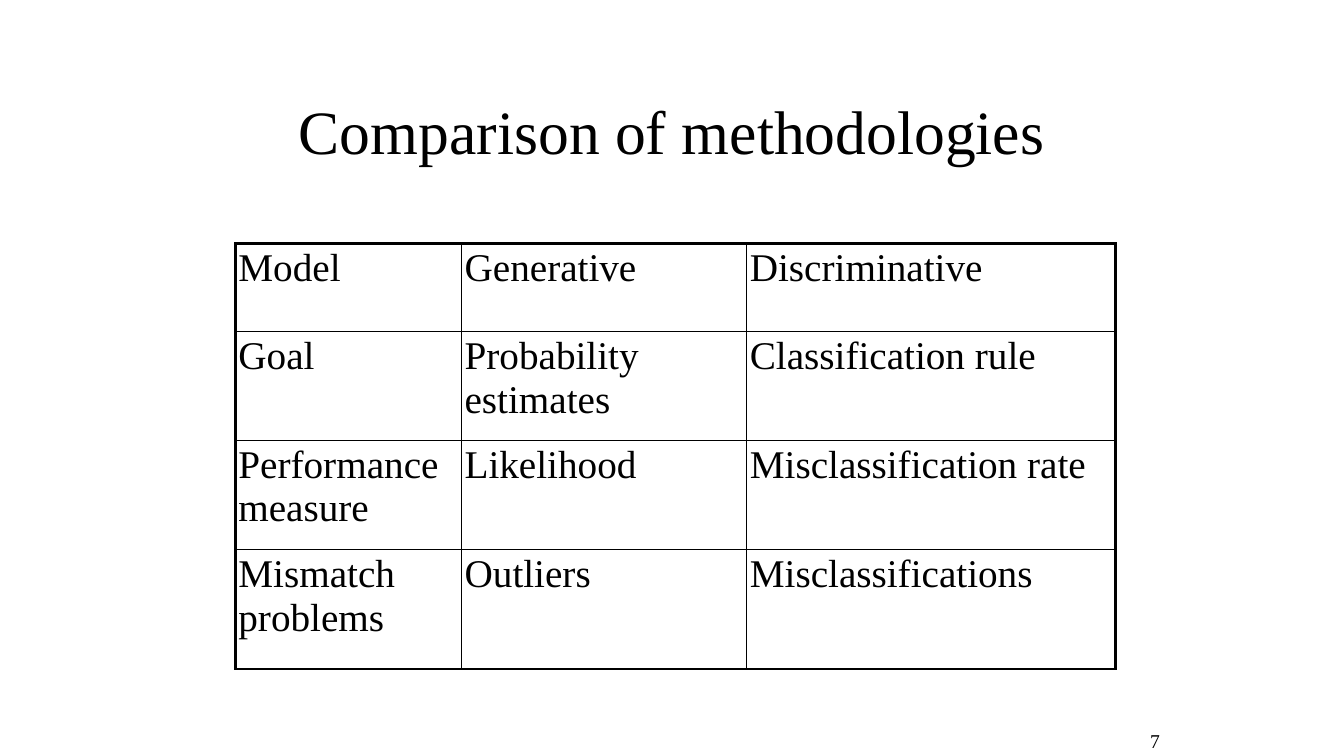
from lxml import etree
from pptx import Presentation, util as u
from pptx.dml.color import RGBColor
from pptx.enum import text
from pptx.oxml.ns import qn

THEME = {
    "font": "Times New Roman", "ink": "000000", "paper": "FFFFFF",
    "title": 88, "cell": 56, "number": 28,
    "outer": 4, "inner": 2, "cell_inset": 0.06, "box_inset": 0.11,
}
W, H = 26.67, 15

prs = Presentation()
prs.slide_width, prs.slide_height = u.Inches(W), u.Inches(H)
s = prs.slides.add_slide(prs.slide_layouts[6])
s.background.fill.solid()
s.background.fill.fore_color.rgb = RGBColor.from_string(THEME["paper"])


def write(tf, words, size, inset, align, **frame):
    """Fill a text frame or cell with one styled paragraph."""
    for side in ("left", "top", "right", "bottom"):
        frame["margin_" + side] = u.Inches(inset)
    for name, value in frame.items():
        setattr(tf, name, value)
    p = getattr(tf, "text_frame", tf).paragraphs[0]
    p.alignment = align
    r = p.add_run()
    r.text = words
    for name, value in {"name": THEME["font"], "size": u.Pt(size)}.items():
        setattr(r.font, name, value)
    r.font.color.rgb = RGBColor.from_string(THEME["ink"])


def border(cell, side, width):
    """Draw one cell edge; edges must come before the fill."""
    ln = etree.SubElement(cell._tc.get_or_add_tcPr(), qn("a:ln" + side),
                          w=str(u.Pt(width)))
    fill = etree.SubElement(ln, qn("a:solidFill"))
    etree.SubElement(fill, qn("a:srgbClr"), val=THEME["ink"])


# Title and slide number
boxes = [
    ("Comparison of methodologies", "title", (4.83, 0.83, 17, 3.5),
     {"word_wrap": True, "vertical_anchor": text.MSO_ANCHOR.MIDDLE}),
    ("7", "number", (22.6, 14.36, 0.64, 0.65),
     {"word_wrap": False, "auto_size": text.MSO_AUTO_SIZE.SHAPE_TO_FIT_TEXT}),
]
for words, role, at, frame in boxes:
    sp = s.shapes.add_textbox(*map(u.Inches, at))
    write(sp.text_frame, words, THEME[role], THEME["box_inset"],
          text.PP_ALIGN.CENTER, **frame)

# Comparison table
rows = [
    ("Model", "Generative", "Discriminative"),
    ("Goal", "Probability estimates", "Classification rule"),
    ("Performance measure", "Likelihood", "Misclassification rate"),
    ("Mismatch problems", "Outliers", "Misclassifications"),
]
col_widths = (4.49, 5.66, 7.32)
row_heights = (1.75, 2.16, 2.17, 2.36)
table = s.shapes.add_table(
    len(rows), len(col_widths), u.Inches(4.67), u.Inches(4.83),
    u.Inches(sum(col_widths)), u.Inches(sum(row_heights))).table
table.first_row = table.horz_banding = False
for column, width in zip(table.columns, col_widths):
    column.width = u.Inches(width)
for row, height in zip(table.rows, row_heights):
    row.height = u.Inches(height)

# Cells: heavy lines around the table, thin lines inside
for i, row in enumerate(rows):
    for j, words in enumerate(row):
        cell = table.cell(i, j)
        write(cell, words, THEME["cell"], THEME["cell_inset"],
              text.PP_ALIGN.LEFT, vertical_anchor=text.MSO_ANCHOR.TOP)
        outside = {"L": j == 0, "R": j == len(row) - 1,
                   "T": i == 0, "B": i == len(rows) - 1}
        for side, is_outer in outside.items():
            border(cell, side, THEME["outer" if is_outer else "inner"])
        cell.fill.background()

prs.save("out.pptx")
